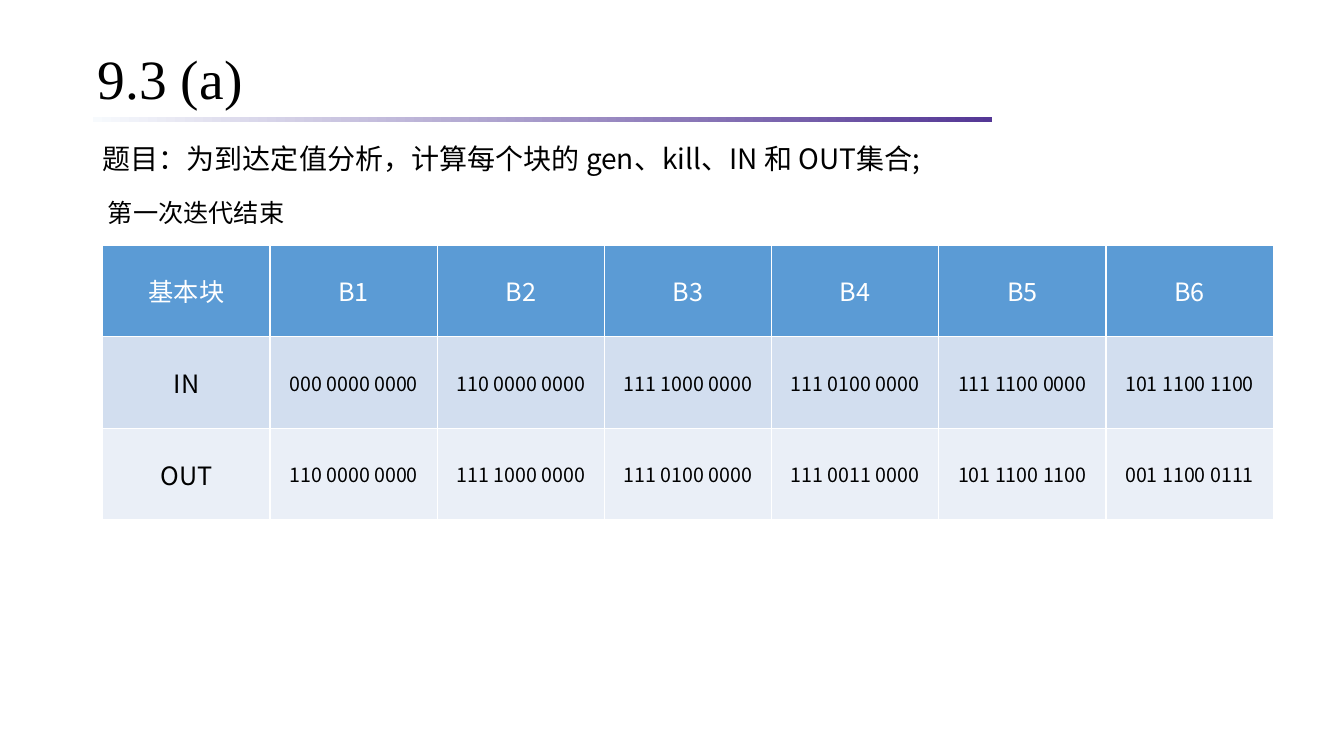
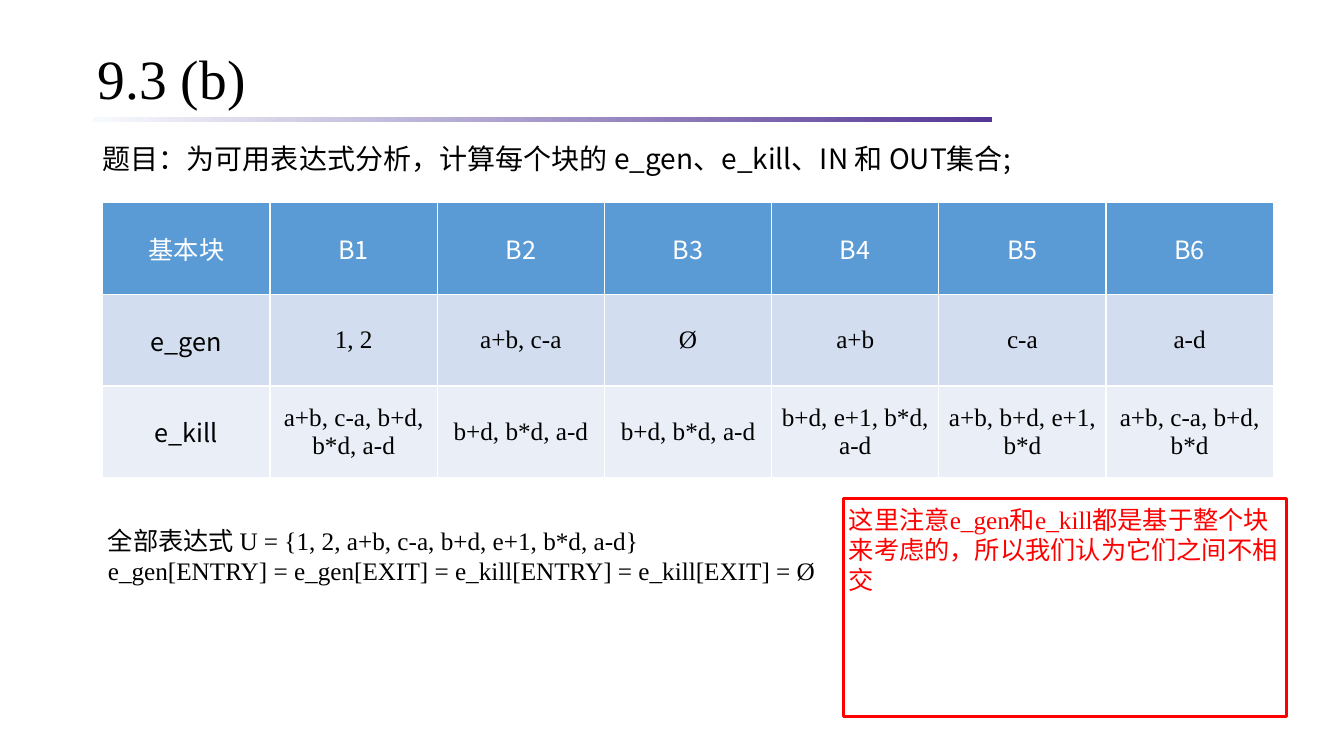
from lxml.etree import SubElement
from pptx import Presentation
from pptx.dml.color import RGBColor
from pptx.enum.shapes import MSO_SHAPE as Shape
from pptx.enum.text import MSO_ANCHOR as Anchor, PP_ALIGN as Align
from pptx.oxml.ns import qn
from pptx.util import Inches, Pt

SANS = "Noto Sans CJK SC"
SERIF = "Times New Roman"
HUES = {
    "black": "000000", "white": "FFFFFF", "red": "FF0000",
    "head": "5B9BD5", "odd": "D2DEEF", "even": "EAEFF7",
    "pale": "F7FAFD", "violet": "543795",
}
LEFT = 0.92
INDENT = 1.02
HEADS = ["基本块", "B1", "B2", "B3", "B4", "B5", "B6"]


def hue(name):
    return RGBColor.from_string(HUES[name])


def style(para, size, face=SERIF, tint="black"):
    font = para.font
    font.size = Pt(size)
    font.bold = False
    font.color.rgb = hue(tint)
    font.name = face
    SubElement(font._element, qn("a:ea"), typeface=SANS)


def place(shape, *box):
    shape.left, shape.top, shape.width, shape.height = map(Inches, box)


def fill_text(frame, lines, size, face=SERIF, tint="black", side=0.05):
    """Write one paragraph per line, wrapped inside the given side inset."""
    frame.word_wrap = True
    frame.margin_left = frame.margin_right = Inches(side)
    frame.margin_top = frame.margin_bottom = Inches(0.05)
    frame.text = "\n".join(lines)
    for para in frame.paragraphs:
        para.alignment = Align.LEFT
        style(para, size, face, tint)


def add_text(slide, box, lines, size, **look):
    frame = slide.shapes.add_textbox(*map(Inches, box)).text_frame
    fill_text(frame, lines, size, **look)
    return frame


def add_bar(slide, box):
    bar = slide.shapes.add_shape(Shape.RECTANGLE, *map(Inches, box))
    bar.shadow.inherit = False
    bar.line.fill.background()
    bar.fill.gradient()
    bar.fill.gradient_angle = 0
    for stop, name in zip(bar.fill.gradient_stops, ("pale", "violet")):
        stop.color.rgb = hue(name)


def add_page(deck, title, task):
    """Add a slide with its title, gradient bar and task line."""
    slide = deck.slides.add_slide(deck.slide_layouts[5])
    add_bar(slide, (LEFT, 1.16, 8.92, 0.05))
    head = slide.shapes.title
    place(head, LEFT, 0.43, 11.5, 0.75)
    fill_text(head.text_frame, [title], 39.6)
    head.text_frame.vertical_anchor = Anchor.MIDDLE
    head.text_frame.paragraphs[0].line_spacing = 0.9
    frame = add_text(slide, (LEFT, 1.19, 11.28, 0.61), ["题目：" + task], 20,
                     face=SANS, side=0.1)
    frame.paragraphs[0].line_spacing = 1.5
    return slide


def add_grid(slide, top, rows, size, face):
    """Add the block table; size and face apply to the value cells."""
    rows = [HEADS] + rows
    grid = slide.shapes.add_table(
        len(rows), len(HEADS), Inches(INDENT), Inches(top),
        Inches(11.61), Inches(0.91 * len(rows))).table
    for r, row in enumerate(rows):
        band = "head" if r == 0 else "odd" if r % 2 else "even"
        for c, text in enumerate(row):
            cell = grid.cell(r, c)
            cell.fill.solid()
            cell.fill.fore_color.rgb = hue(band)
            cell.vertical_anchor = Anchor.MIDDLE
            cell.text = text
            para = cell.text_frame.paragraphs[0]
            para.alignment = Align.CENTER
            if r and c:
                style(para, size, face)
            else:
                style(para, 18, SANS, "black" if r else "white")


def add_note(slide, box, text):
    note = slide.shapes.add_shape(Shape.RECTANGLE, *map(Inches, box))
    note.shadow.inherit = False
    note.fill.background()
    note.line.color.rgb = hue("red")
    note.line.width = Pt(2.25)
    fill_text(note.text_frame, [text], 18, tint="red")
    note.text_frame.vertical_anchor = Anchor.TOP


def reach_page(deck):
    slide = add_page(deck, "9.3 (a)",
                     "为到达定值分析，计算每个块的 gen、kill、IN 和 OUT集合;")
    add_grid(slide, 2.43, [
        ["IN", "000 0000 0000", "110 0000 0000", "111 1000 0000",
         "111 0100 0000", "111 1100 0000", "101 1100 1100"],
        ["OUT", "110 0000 0000", "111 1000 0000", "111 0100 0000",
         "111 0011 0000", "101 1100 1100", "001 1100 0111"],
    ], 14, SANS)
    add_text(slide, (INDENT, 1.91, 11.89, 0.4), ["第一次迭代结束"], 18)


def avail_page(deck):
    slide = add_page(deck, "9.3 (b)",
                     "为可用表达式分析，计算每个块的 e_gen、e_kill、IN 和 OUT集合;")
    add_grid(slide, 2.01, [
        ["e_gen", "1, 2", "a+b, c-a", "Ø", "a+b", "c-a", "a-d"],
        ["e_kill", "a+b, c-a, b+d, b*d, a-d", "b+d, b*d, a-d",
         "b+d, b*d, a-d", "b+d, e+1, b*d, a-d", "a+b, b+d, e+1, b*d",
         "a+b, c-a, b+d, b*d"],
    ], 18, SERIF)
    add_text(slide, (INDENT, 5.16, 7.3, 0.7), [
        "全部表达式 U = {1, 2, a+b, c-a, b+d, e+1, b*d, a-d}",
        "e_gen[ENTRY] = e_gen[EXIT] = e_kill[ENTRY] = e_kill[EXIT] = Ø",
    ], 18)
    add_note(slide, (8.37, 4.95, 4.39, 2.16),
             "这里注意e_gen和e_kill都是基于整个块来考虑的，所以我们认为它们之间不相交")


def main():
    deck = Presentation()
    deck.slide_width = Inches(13.33)
    deck.slide_height = Inches(7.5)
    reach_page(deck)
    avail_page(deck)
    deck.save("out.pptx")


if __name__ == "__main__":
    main()
